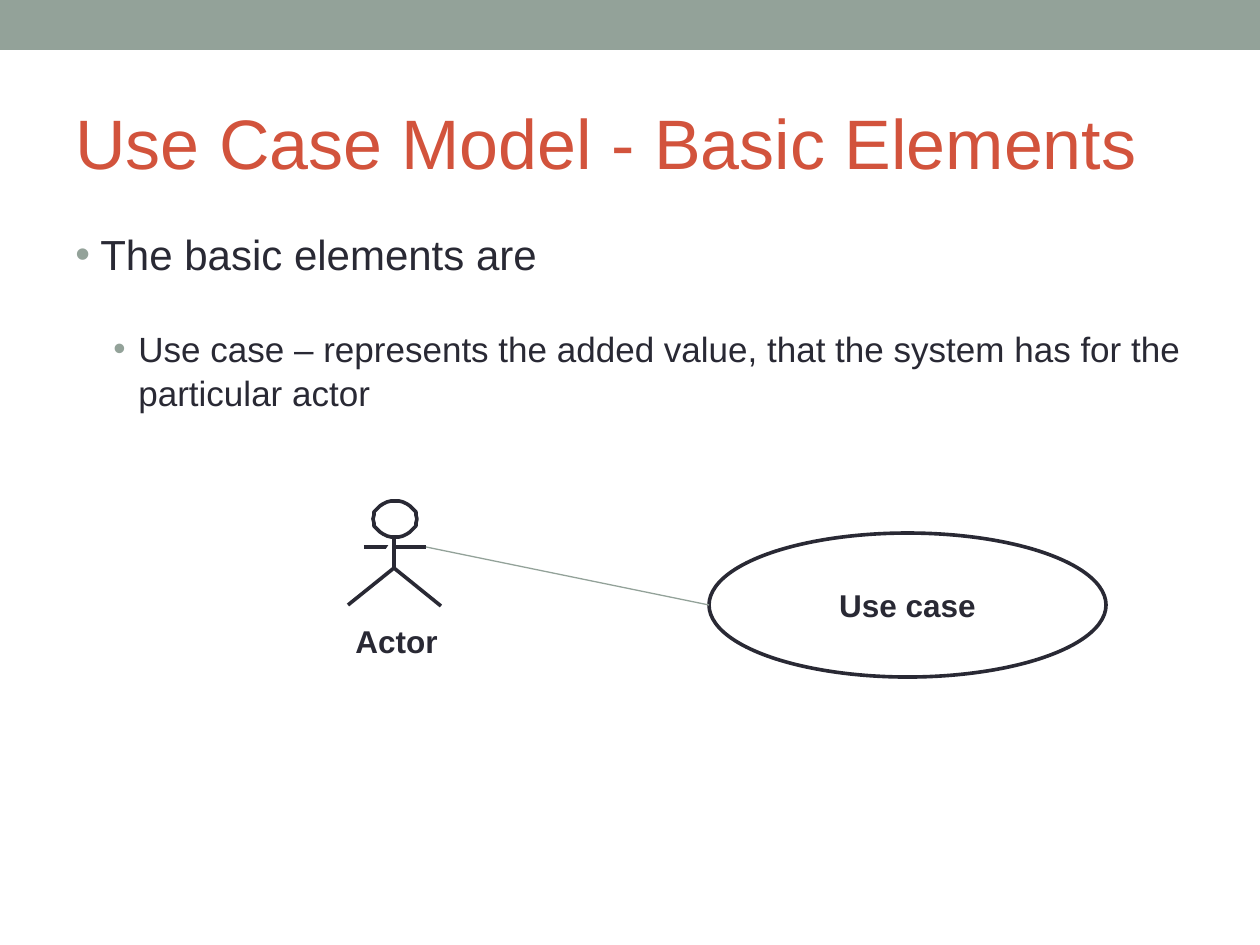
from dataclasses import dataclass

from lxml.etree import SubElement
from pptx import Presentation
from pptx.dml.color import RGBColor
from pptx.enum.shapes import MSO_CONNECTOR as Link, MSO_SHAPE as Shape
from pptx.enum.text import MSO_ANCHOR as Anchor, PP_ALIGN as Align
from pptx.oxml.ns import qn
from pptx.util import Emu, Pt

PX = 7257.14  # EMU in one px, 126 px to the inch


@dataclass(frozen=True)
class Theme:
    font: str = "Arial"
    sage: str = "93A299"
    rust: str = "D2533C"
    ink: str = "292934"
    paper: str = "FFFFFF"
    title: int = 40
    bullet: int = 24
    sub_bullet: int = 20
    label: int = 18
    stroke: float = 2.08
    hairline: float = 0.75


THEME = Theme()


def px(length):
    return Emu(round(length * PX))


def rgb(color):
    return RGBColor.from_string(color)


def style_text(para, size, color, bold=False):
    for span in para.runs:
        font = span.font
        font.name, font.size, font.bold = THEME.font, Pt(size), bold
        font.color.rgb = rgb(color)


def style_shape(shape, fill=None, line=None):
    shape.shadow.inherit = False
    if fill:
        shape.fill.solid()
        shape.fill.fore_color.rgb = rgb(fill)
    else:
        shape.fill.background()
    if line:
        shape.line.color.rgb = rgb(line)
        shape.line.width = Pt(THEME.stroke)
    else:
        shape.line.fill.background()


def add_line(shapes, start, end, color, width):
    line = shapes.add_connector(Link.STRAIGHT, *map(px, start + end))
    line.line.color.rgb = rgb(color)
    line.line.width = Pt(width)
    SubElement(line._element.spPr, qn("a:effectLst"))


def add_outline(shapes, points, close):
    corners = [(px(x), px(y)) for x, y in points]
    builder = shapes.build_freeform(*corners[0], scale=1.0)
    builder.add_line_segments(corners[1:], close=close)
    style_shape(builder.convert_to_shape(), THEME.paper, THEME.ink)


def add_text(shapes, left, top, width, height, text):
    box = shapes.add_textbox(px(left), px(top), px(width), px(height))
    box.text_frame.word_wrap = True
    box.text_frame.text = text
    return box.text_frame


def add_bullet(para, indent, hang):
    props = para._p.get_or_add_pPr()
    props.set("marL", str(px(indent)))
    props.set("indent", str(px(-hang)))
    color = SubElement(props, qn("a:buClr"))
    SubElement(color, qn("a:srgbClr"), val=THEME.sage)
    SubElement(props, qn("a:buFont"), typeface=THEME.font)
    SubElement(props, qn("a:buChar"), char="•")


def header(page, left, top, width):
    # Band across the top, title below it
    band = page.shapes.add_shape(Shape.RECTANGLE, px(left), px(top), px(width), px(50))
    style_shape(band, THEME.sage)
    frame = add_text(page.shapes, left + 63, top + 73, width - 126, 136,
                     "Use Case Model - Basic Elements")
    frame.vertical_anchor = Anchor.MIDDLE
    style_text(frame.paragraphs[0], THEME.title, THEME.rust)


def bullets(page, left, top, width, height):
    frame = add_text(page.shapes, left, top, width, height,
                     "The basic elements are\nUse case – represents the added value, "
                     "that the system has for the particular actor")
    levels = ((0, 25, THEME.bullet, 0), (1, 63, THEME.sub_bullet, 26.5))
    for para, (level, indent, size, gap) in zip(frame.paragraphs, levels):
        add_bullet(para, indent, 25)
        para.level = level
        para.line_spacing = 1.05
        para.space_before = Pt(gap)
        style_text(para, size, THEME.ink)


def actor(page, left, top):
    """Draw the stick figure and return the end of its right arm."""
    shapes = page.shapes.add_group_shape().shapes
    neck, hip = (left + 46, top + 36), (left + 46, top + 67)

    # Head: one quarter of the outline, mirrored to the other three
    quarter = [(4, -18), (8, -17), (12, -15), (15, -13),
               (18, -10), (21, -7), (21, -4), (22, 0)]
    right = quarter + [(x, -y) for x, y in quarter[-2::-1]]
    ring = right + [(-x, y) for x, y in right[::-1]]
    add_outline(shapes, [(left + 47 + x, top + 18 + y) for x, y in ring], True)

    # Arms, then body with left leg, then right leg
    hand = (left + 78, top + 46)
    add_line(shapes, (left + 16, top + 46), hand, THEME.ink, THEME.stroke)
    add_outline(shapes, [neck, hip, (left, top + 104)], False)
    add_line(shapes, hip, (left + 93, top + 105), THEME.ink, THEME.stroke)

    # Label
    frame = add_text(shapes, left - 5, top + 115, 178, 50, "Actor")
    style_text(frame.paragraphs[0], THEME.label, THEME.ink, bold=True)
    return hand


def use_case(page, left, top, width, height):
    """Draw the ellipse and return the middle of its left side."""
    oval = page.shapes.add_shape(Shape.OVAL, px(left), px(top), px(width), px(height))
    style_shape(oval, line=THEME.ink)
    frame = oval.text_frame
    frame.text = "Use case"
    frame.vertical_anchor = Anchor.MIDDLE
    para = frame.paragraphs[0]
    para.alignment = Align.CENTER
    style_text(para, THEME.label, THEME.ink, bold=True)
    return left, top + height // 2


def diagram(page, left, top):
    side = use_case(page, left + 361, top + 32, 397, 144)
    hand = actor(page, left, top)
    add_line(page.shapes, hand, side, THEME.sage, THEME.hairline)


def main():
    deck = Presentation()
    deck.slide_width, deck.slide_height = px(1260), px(945)
    page = deck.slides.add_slide(deck.slide_layouts[6])
    header(page, 0, 0, 1260)
    bullets(page, 63, 220, 1134, 686)
    diagram(page, 348, 501)
    deck.save("out.pptx")


if __name__ == "__main__":
    main()
